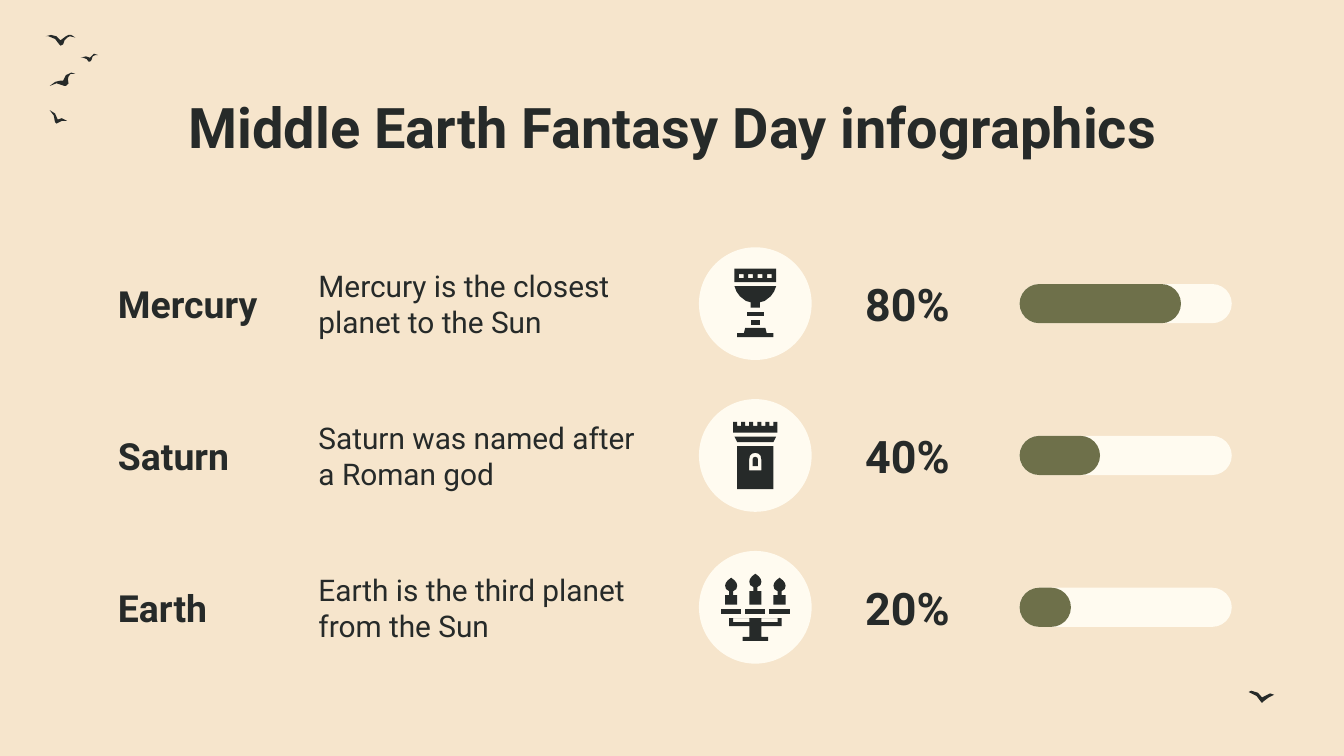
from dataclasses import dataclass

from pptx import Presentation
from pptx.dml.color import RGBColor
from pptx.enum import shapes, text
from pptx.util import Cm, Pt


@dataclass(frozen=True)
class Theme:
    font: str = "Roboto"
    sand: RGBColor = RGBColor.from_string("F6E5CC")
    cream: RGBColor = RGBColor.from_string("FFFBF0")
    olive: RGBColor = RGBColor.from_string("6E704A")
    ink: RGBColor = RGBColor.from_string("262A29")
    title: int = 30
    percent: int = 24
    name: int = 20
    body: int = 16


theme = Theme()
GRID = Cm(2.54) / 100  # birds and icons are drawn in hundredths of an inch

prs = Presentation()
prs.slide_width, prs.slide_height = Cm(25.4), Cm(14.29)
s = prs.slides.add_slide(prs.slide_layouts[6])
s.background.fill.solid()
s.background.fill.fore_color.rgb = theme.sand


def mirrored(half, axis=0):
    """Close a half outline, given as (distance from axis, y), with its mirror image."""
    return [(axis - x, y) for x, y in half] + [(axis + x, y) for x, y in reversed(half)]


def add_text(words, left, top, width, height, size, bold, align, anchor):
    tf = s.shapes.add_textbox(Cm(left), Cm(top), Cm(width), Cm(height)).text_frame
    tf.word_wrap = True
    tf.vertical_anchor = anchor
    tf.margin_left = tf.margin_right = tf.margin_top = tf.margin_bottom = Cm(0.25)
    tf.text = words
    p = tf.paragraphs[0]
    p.alignment = align
    r = p.runs[0]
    r.font.name, r.font.size, r.font.bold = theme.font, Pt(size), bold
    r.font.color.rgb = theme.ink


LEFT, CENTER = text.PP_ALIGN.LEFT, text.PP_ALIGN.CENTER
TOP, MIDDLE = text.MSO_ANCHOR.TOP, text.MSO_ANCHOR.MIDDLE

# Outlines are lists of contours; later contours cut holes in the first.
birds = [
    [[(51, 26), (49, 27), (45, 30), (42, 27), (38, 26), (34, 27), (36, 27), (41, 29),
      (44, 33), (45, 34), (47, 33), (48, 30), (50, 28), (52, 27), (56, 28), (53, 26)]],
    [[(53, 54), (49, 56), (47, 60), (45, 60), (41, 61), (37, 64), (42, 62), (48, 64),
      (49, 64), (51, 62), (50.5, 59), (51, 57), (52.5, 55), (56, 55)]],
    [[(37, 82), (40, 86), (41, 91), (42, 92), (46, 90), (50, 90), (46, 88), (43, 89),
      (41, 84.5)]],
    [[(70, 40), (69, 41), (67, 43), (64, 42), (60, 43), (62, 43), (64.5, 44), (66, 46),
      (67, 46), (68, 45), (69, 42), (71, 41), (73, 41)]],
    [[(931, 514), (929, 515), (935, 518), (938, 522), (939, 523), (940, 522), (944, 519),
      (948, 517), (945, 516), (943, 517), (939, 519), (936, 515.5)]],
]

goblet = [
    [mirrored([(15.5, -26), (15.5, -16)])]
    + [mirrored([(1.75, -22), (1.75, -19)], x) for x in (-10.5, -3.5, 3.5, 10.5)],
    [mirrored([(15.5, -13), (14, -9), (11.5, -5.5), (7, -2), (3.5, -1), (3.5, 3)])],
    [mirrored([(6.5, 6), (6.5, 9)])],
    [mirrored([(3.5, 12), (3.5, 16)])],
    [mirrored([(7.5, 18), (8.5, 22), (13.5, 22), (13.5, 25)])],
]

battlement = [(16.5, -17)]
for edge in (16.5, 10.5, 4.5):
    battlement += [(edge, -22), (edge, -25), (edge - 3, -25), (edge - 3, -22)]
tower = [
    [mirrored(battlement)],
    [mirrored([(15.5, -14), (13.5, -10)])],
    [mirrored([(13.5, -7), (13.5, 25)]),
     mirrored([(0, -2), (2.5, -1.3), (4, 0.2), (4.5, 3), (4.5, 11)])],
    [mirrored([(0, 1), (1.5, 1.6), (2, 3), (2, 8)])],
]

candelabra = [[mirrored([
    (19.5, 8), (19.5, 14), (4.5, 14), (4.5, 22), (9.5, 22), (9.5, 25)]
    + [(0, 25), (0, 8), (4.5, 8), (4.5, 11), (16.5, 11), (16.5, 8)])]]
for axis, drop in ((-18, 3), (0, 0), (18, 3)):
    flame = [(0, -25), (2.5, -23), (4, -21), (4.5, -19), (3.8, -16.5), (1.5, -15), (1.5, -12),
             (4.5, -12)]
    candle = [(x, y + drop) for x, y in flame] + [(4.5, -2)]
    candelabra += [[mirrored(candle, axis)], [mirrored([(7.5, 1), (7.5, 5)], axis)]]

rows = [
    ("Mercury", "Mercury is the closest planet to the Sun", "80%", 3.05, goblet),
    ("Saturn", "Saturn was named after a Roman god", "40%", 1.52, tower),
    ("Earth", "Earth is the third planet from the Sun", "20%", 0.97, candelabra),
]
FIRST_ROW, ROW_STEP = 5.74, 2.87
TEXT_H, BAR_H, DISC = 1.45, 0.74, 2.13
DISC_LEFT, BAR_LEFT, BAR_W = 13.21, 19.27, 4.01

add_text("Middle Earth Fantasy Day infographics", 2.01, 1.5, 21.41, 1.6,
         theme.title, True, CENTER, TOP)

outlines = [(bird, 0, 0) for bird in birds]
for i, (name, fact, percent, filled, icon) in enumerate(rows):
    middle = FIRST_ROW + i * ROW_STEP
    for words, left, width, size, bold, align in (
        (name, 1.98, 3.81, theme.name, True, LEFT),
        (fact, 5.77, 6.73, theme.body, False, LEFT),
        (percent, 16.03, 2.24, theme.percent, True, CENTER),
    ):
        add_text(words, left, middle - TEXT_H / 2, width, TEXT_H, size, bold, align, MIDDLE)

    pill, oval = shapes.MSO_SHAPE.ROUNDED_RECTANGLE, shapes.MSO_SHAPE.OVAL
    for kind, left, width, height, colour in (
        (pill, BAR_LEFT, BAR_W, BAR_H, theme.cream),
        (pill, BAR_LEFT, filled, BAR_H, theme.olive),
        (oval, DISC_LEFT, DISC, DISC, theme.cream),
    ):
        sp = s.shapes.add_shape(kind, Cm(left), Cm(middle - height / 2), Cm(width), Cm(height))
        if kind == pill:
            sp.adjustments[0] = 0.5
        sp.shadow.inherit = False
        sp.fill.solid()
        sp.fill.fore_color.rgb = colour
        sp.line.fill.background()
    outlines += [(part, Cm(DISC_LEFT + DISC / 2), Cm(middle)) for part in icon]

for contours, x0, y0 in outlines:
    scaled = [[(round(x * GRID), round(y * GRID)) for x, y in c] for c in contours]
    builder = s.shapes.build_freeform(*scaled[0][0])
    builder.add_line_segments(scaled[0][1:], close=True)
    for hole in scaled[1:]:
        builder.move_to(*hole[0])
        builder.add_line_segments(hole[1:], close=True)
    sp = builder.convert_to_shape(x0, y0)
    sp.shadow.inherit = False
    sp.fill.solid()
    sp.fill.fore_color.rgb = theme.ink
    sp.line.fill.background()

prs.save("out.pptx")
